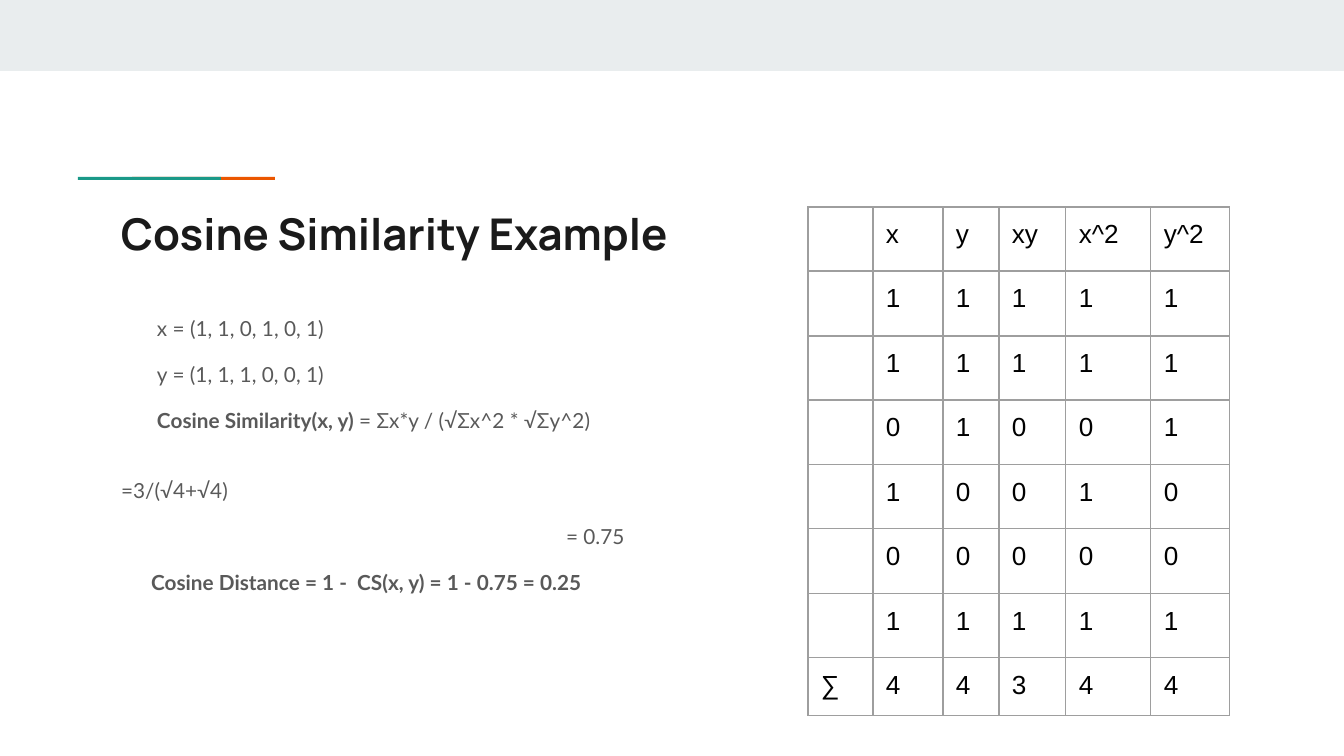
"""Build the cosine similarity example slide."""
import lxml.etree
import pptx
import pptx.dml.color
import pptx.enum.shapes
import pptx.oxml.ns
import pptx.util

SCALE = 914400 / 134.4
INSET = 13
BAND = pptx.dml.color.RGBColor(0xE9, 0xED, 0xEE)
ORANGE = pptx.dml.color.RGBColor(0xEB, 0x56, 0x00)
TEAL = pptx.dml.color.RGBColor(0x1A, 0x99, 0x88)
INK = pptx.dml.color.RGBColor(0x1A, 0x1A, 0x1A)
GREY = pptx.dml.color.RGBColor(0x59, 0x59, 0x59)
BLACK = pptx.dml.color.RGBColor(0, 0, 0)
RULE = pptx.dml.color.RGBColor(0x9E, 0x9E, 0x9E)

TITLE_FONT = {"name": "Manrope", "size": pptx.util.Pt(23.4), "bold": True}
BODY_FONT = {"name": "Lato", "size": pptx.util.Pt(11.1)}
CELL_FONT = {"name": "Arial", "size": pptx.util.Pt(14)}

BODY_LINES = [
    (36, 0, [("x = (1, 1, 0, 1, 0, 1)", False)]),
    (36, 12, [("y = (1, 1, 1, 0, 0, 1)", False)]),
    (36, 12, [("Cosine Similarity(x, y) ", True),
              ("= Σx*y / (√Σx^2 * √Σy^2)", False)]),
    (0, 24.6, [("=3/(√4+√4)", False)]),
    (445, 12, [("= 0.75", False)]),
    (30, 12, [("Cosine Distance = 1 -  CS(x, y) = 1 - 0.75 = 0.25", True)]),
]
COLUMN_WIDTHS = [65, 70, 56, 67, 85, 79]
ROW_HEIGHTS = [64, 65, 64, 65, 64, 65, 64, 56]
HEADINGS = ["", "x", "y", "xy", "x^2", "y^2"]
X_VALUES = [1, 1, 0, 1, 0, 1]
Y_VALUES = [1, 1, 1, 0, 0, 1]


def px(length):
    """Turn a length in px into EMU."""
    return pptx.util.Emu(round(length * SCALE))


def set_values(target, values):
    """Set attributes of an object from a dict."""
    for name, value in values.items():
        setattr(target, name, value)


def set_insets(target):
    """Give a cell or text frame equal insets."""
    sides = ("left", "top", "right", "bottom")
    set_values(target, {f"margin_{side}": px(INSET) for side in sides})


def add_span(para, text, values, color):
    """Add a formatted run of text."""
    span = para.add_run()
    span.text = text
    set_values(span.font, values)
    span.font.color.rgb = color


def add_block(page, frame, color):
    """Add a plain filled rectangle."""
    kind = pptx.enum.shapes.MSO_SHAPE.RECTANGLE
    block = page.shapes.add_shape(kind, *map(px, frame))
    block.shadow.inherit = False
    block.fill.solid()
    block.fill.fore_color.rgb = color
    block.line.fill.background()


def add_text(page, frame, lines, values, color, spacing):
    """Add a text box of indented lines."""
    box = page.shapes.add_textbox(*map(px, frame)).text_frame
    box.word_wrap = True
    set_insets(box)
    for index, (indent, before, spans) in enumerate(lines):
        para = box.add_paragraph() if index else box.paragraphs[0]
        para.line_spacing = spacing
        if before:
            para.space_before = pptx.util.Pt(before)
        if indent:
            para._p.get_or_add_pPr().set("marL", str(px(indent)))
        for text, bold in spans:
            add_span(para, text, {**values, "bold": bold}, color)


def add_borders(cell):
    """Draw thin lines on all four sides of a cell."""
    properties = cell._tc.get_or_add_tcPr()
    qn = pptx.oxml.ns.qn
    for index, side in enumerate(("lnL", "lnR", "lnT", "lnB")):
        line = lxml.etree.Element(qn(f"a:{side}"), w=str(pptx.util.Pt(0.75)))
        fill = lxml.etree.SubElement(line, qn("a:solidFill"))
        lxml.etree.SubElement(fill, qn("a:srgbClr"), val=str(RULE))
        properties.insert(index, line)


def fill_cell(cell, text):
    """Format a table cell and write its text."""
    set_insets(cell)
    cell.fill.background()
    add_borders(cell)
    para = cell.text_frame.paragraphs[0]
    if text:
        add_span(para, text, CELL_FONT, BLACK)
    else:
        end = lxml.etree.SubElement(para._p, pptx.oxml.ns.qn("a:endParaRPr"))
        end.set("sz", "1400")


def make_rows():
    """Work out the products, squares and column sums."""
    values = [(x, y, x * y, x ** 2, y ** 2)
              for x, y in zip(X_VALUES, Y_VALUES)]
    sums = [sum(column) for column in zip(*values)]
    return [HEADINGS, *[["", *row] for row in values], ["∑", *sums]]


def add_grid(page, left, top, rows):
    """Add the table of values."""
    size = (sum(COLUMN_WIDTHS), sum(ROW_HEIGHTS))
    grid = page.shapes.add_table(len(rows), len(rows[0]),
                                 *map(px, (left, top, *size))).table
    set_values(grid, {"first_row": False, "horz_banding": False})
    for column, width in zip(grid.columns, COLUMN_WIDTHS):
        column.width = px(width)
    for row, height, texts in zip(grid.rows, ROW_HEIGHTS, rows):
        row.height = px(height)
        for cell, text in zip(row.cells, texts):
            fill_cell(cell, str(text))


def main():
    """Build and save the deck."""
    deck = pptx.Presentation()
    set_values(deck, {"slide_width": px(1344), "slide_height": px(756)})
    page = deck.slides.add_slide(deck.slide_layouts[6])
    add_block(page, (0, 0, 1344, 71), BAND)
    add_block(page, (132, 177, 143, 3), ORANGE)
    add_block(page, (78, 177, 143, 3), TEAL)
    title = [(0, 0, [("Cosine Similarity Example", True)])]
    add_text(page, (108, 194, 1130, 79), title, TITLE_FONT, INK, 1.0)
    add_text(page, (108, 305, 564, 332), BODY_LINES, BODY_FONT, GREY, 0.95)
    add_grid(page, 808, 207, make_rows())
    deck.save("out.pptx")


if __name__ == "__main__":
    main()
